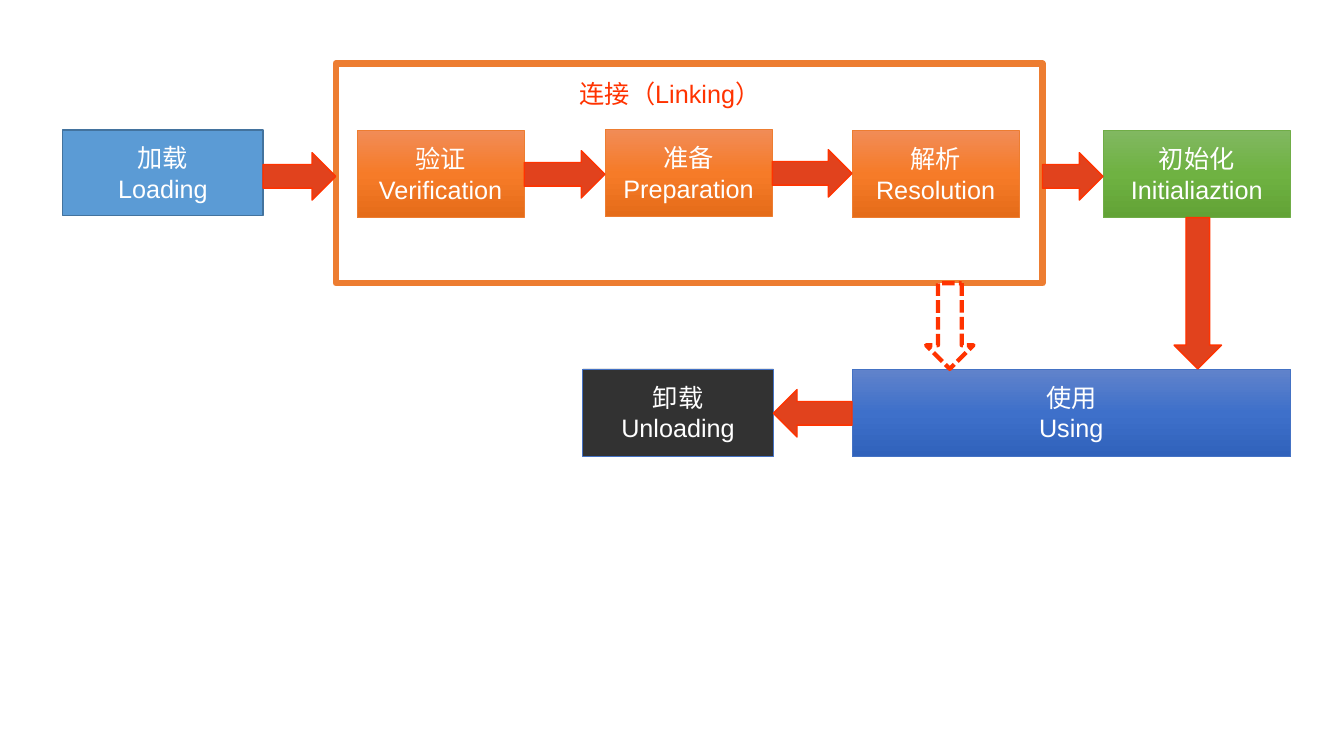
from copy import deepcopy
from pptx import Presentation
from pptx.dml.color import RGBColor
from pptx.enum.dml import MSO_LINE
from pptx.enum.shapes import MSO_SHAPE
from pptx.enum.text import MSO_ANCHOR, PP_ALIGN
from pptx.util import Inches, Pt

FONT, SIZE = "Arial", 18
WHITE, RED, ARROW_RED, ORANGE = "FFFFFF", "FF3300", "E1421D", "ED7D31"
ORANGES = ("F18C57", "F67B28", "E56C19")
GREENS = ("81B861", "6FB242", "62A336")
BLUES = ("6183CB", "3E70CA", "3062BB")
BOX_H, ARROW_H = 0.87, 0.47
ROW1, ROW2 = 1.29, 3.66
STEP_W = 1.66

FRAME = (3.33, 0.63, 7.01, 2.18)
TITLE, TITLE_AT = "连接（Linking）", (5.65, 0.73, 2.28, 0.4)

# Stage: (Chinese, English), (left, top, width, height), fill, line colour, line width
STAGES = {
    "loading": (("加载", "Loading"), (0.62, ROW1, 1.99, 0.85), ("5B9BD5",), "43739E", 1),
    "verify": (("验证", "Verification"), (3.54, ROW1, STEP_W, BOX_H), ORANGES, ORANGE, 0.5),
    "prepare": (("准备", "Preparation"), (6, 1.28, STEP_W, BOX_H), ORANGES, ORANGE, 0.5),
    "resolve": (("解析", "Resolution"), (8.45, ROW1, STEP_W, BOX_H), ORANGES, ORANGE, 0.5),
    "init": (("初始化", "Initialiaztion"), (10.94, ROW1, 1.86, BOX_H), GREENS, "70AD47", 0.5),
    "using": (("使用", "Using"), (8.45, ROW2, 4.35, BOX_H), BLUES, "4472C4", 0.5),
    "unloading": (("卸载", "Unloading"), (5.78, ROW2, 1.89, BOX_H), ("323232",), "4472C4", 0.5),
}
# Arrow: from, to, rotation, position of its axis across the direction of flow
ARROWS = [
    ("loading", "frame", 0, 1.75),
    ("verify", "prepare", 0, 1.73),
    ("prepare", "resolve", 0, 1.72),
    ("frame", "init", 0, 1.75),
    ("init", "using", 90, 11.88),
    ("frame", "using", 90, 9.42),
    ("using", "unloading", 180, 4.1),
]
DASHED = ("frame", "using")


def rgb(value):
    """Turn a hex string into a colour."""
    return RGBColor.from_string(value)


def paint(s, colours, line, width):
    """Give a shape a solid or three-stop vertical fill and an outline."""
    s.shadow.inherit = False
    if len(colours) == 1:
        s.fill.solid()
        s.fill.fore_color.rgb = rgb(colours[0])
    else:
        s.fill.gradient()
        s.fill.gradient_angle = 270
        last = s.fill.gradient_stops[-1]._gs
        last.addprevious(deepcopy(last))
        for i, (stop, colour) in enumerate(zip(s.fill.gradient_stops, colours)):
            stop.position = i / 2
            stop.color.rgb = rgb(colour)
    s.line.color.rgb = rgb(line)
    s.line.width = Pt(width)


def add_shape(kind, box, colours, line, width):
    """Add a painted preset shape at a box given in inches."""
    s = slide.shapes.add_shape(kind, *map(Inches, box))
    paint(s, colours, line, width)
    return s


def write(tf, lines, colour, align):
    """Write one paragraph per line."""
    tf.word_wrap = True
    for i, text in enumerate(lines):
        p = tf.add_paragraph() if i else tf.paragraphs[0]
        p.alignment = align
        r = p.add_run()
        r.text = text
        r.font.name, r.font.size = FONT, Pt(SIZE)
        r.font.color.rgb = rgb(colour)


def add_arrow(start, end, rotation, axis):
    """Join the facing edges of two boxes with a block arrow."""
    a, b = boxes[start], boxes[end]
    side = 1 if rotation == 90 else 0
    first, second = (b, a) if rotation == 180 else (a, b)
    tail = first[side] + first[side + 2]
    length = second[side] - tail
    middle = tail + length / 2
    cx, cy = (axis, middle) if side else (middle, axis)
    dashed = (start, end) == DASHED
    s = add_shape(MSO_SHAPE.RIGHT_ARROW,
                  (cx - length / 2, cy - ARROW_H / 2, length, ARROW_H),
                  (WHITE if dashed else ARROW_RED,), RED, 3 if dashed else 1)
    s.rotation = rotation
    if dashed:
        s.line.dash_style = MSO_LINE.SQUARE_DOT


prs = Presentation()
prs.slide_width, prs.slide_height = Inches(13.33), Inches(7.5)
slide = prs.slides.add_slide(prs.slide_layouts[6])

add_shape(MSO_SHAPE.RECTANGLE, FRAME, (WHITE,), ORANGE, 4.5)
title = slide.shapes.add_textbox(*map(Inches, TITLE_AT))
write(title.text_frame, [TITLE], RED, PP_ALIGN.LEFT)

boxes = {"frame": FRAME}
for name, (lines, box, colours, line, width) in STAGES.items():
    boxes[name] = box
    s = add_shape(MSO_SHAPE.RECTANGLE, box, colours, line, width)
    s.text_frame.vertical_anchor = MSO_ANCHOR.MIDDLE
    write(s.text_frame, lines, WHITE, PP_ALIGN.CENTER)

for arrow in ARROWS:
    add_arrow(*arrow)

prs.save("out.pptx")
